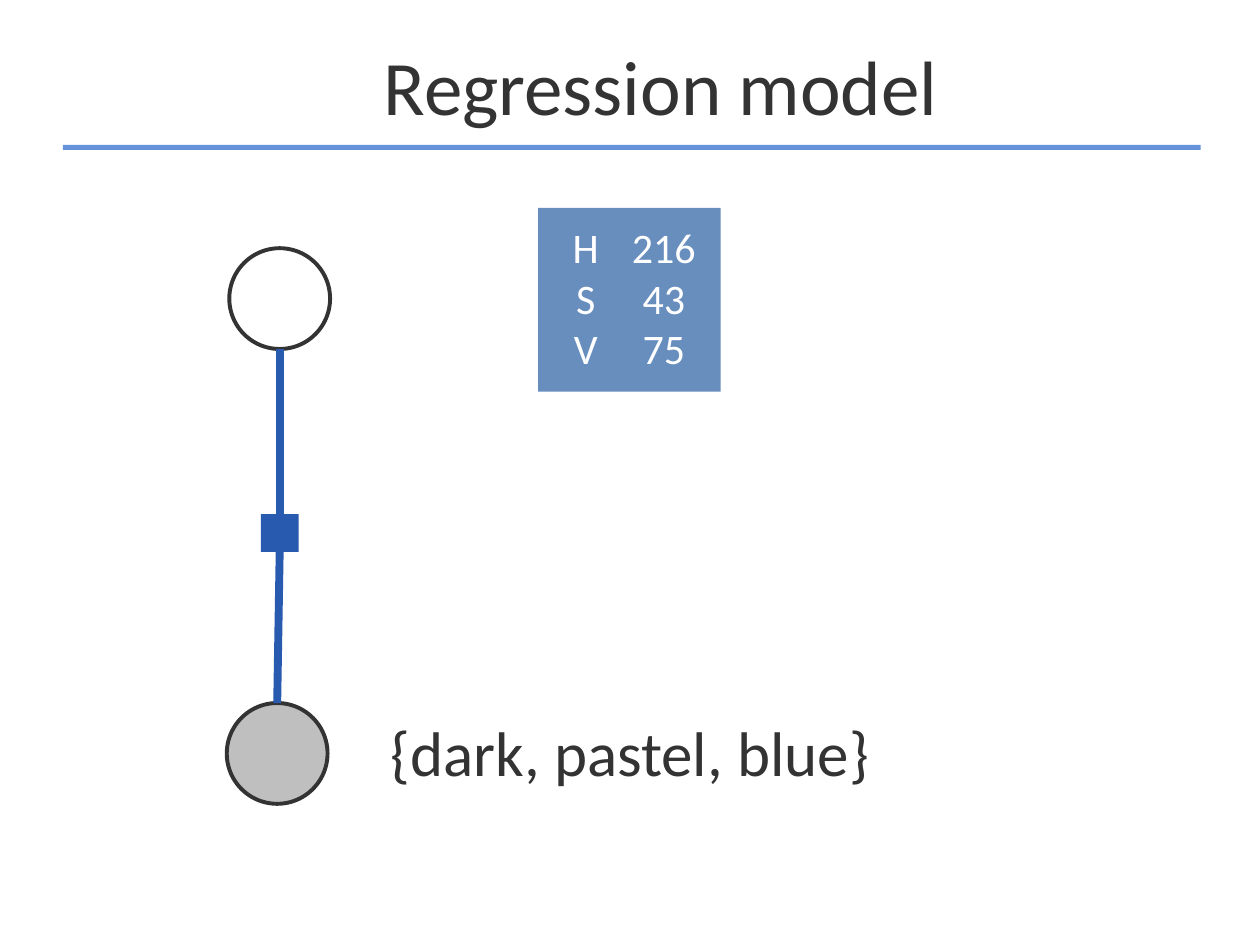
from dataclasses import dataclass

from lxml import etree
from pptx import Presentation
from pptx.dml.color import RGBColor
from pptx.enum import shapes, text
from pptx.oxml import ns
from pptx.util import Inches, Pt


@dataclass(frozen=True)
class Theme:
    font: str = "Calibri"
    ink: str = "333333"
    white: str = "FFFFFF"
    rule: str = "6692DC"
    swatch: str = "688EBE"
    observed: str = "BFBFBF"
    factor: str = "285AAF"
    title_size: int = 44
    caption_size: int = 36
    value_size: int = 24
    outline: float = 2.25
    edge: float = 4.5


THEME = Theme()


def rgb(color):
    return RGBColor.from_string(color)


def format_runs(tf, size, color, align=None):
    for p in tf.paragraphs:
        p.alignment = align
        for r in p.runs:
            r.font.name = THEME.font
            r.font.size = Pt(size)
            r.font.color.rgb = rgb(color)


def add_filled(slide, kind, box, fill, line=None):
    sp = slide.shapes.add_shape(kind, *map(Inches, box))
    sp.shadow.inherit = False
    sp.fill.solid()
    sp.fill.fore_color.rgb = rgb(fill)
    if line:
        sp.line.color.rgb = rgb(line)
        sp.line.width = Pt(THEME.outline)
    else:
        sp.line.fill.background()
    return sp


def add_edge(slide, start, end):
    line = slide.shapes.add_connector(
        shapes.MSO_CONNECTOR.STRAIGHT, *map(Inches, (*start, *end)))
    line.line.color.rgb = rgb(THEME.factor)
    line.line.width = Pt(THEME.edge)
    etree.SubElement(line._element.spPr, ns.qn("a:effectLst"))


def add_title(slide, box, rule_box):
    add_filled(slide, shapes.MSO_SHAPE.RECTANGLE, rule_box, THEME.rule)
    title = slide.shapes.title
    title.left, title.top, title.width, title.height = map(Inches, box)
    tf = title.text_frame
    tf.text = "Regression model"
    tf.vertical_anchor = text.MSO_ANCHOR.MIDDLE
    format_runs(tf, THEME.title_size, THEME.ink, text.PP_ALIGN.CENTER)


def add_caption(slide, box):
    tf = slide.shapes.add_textbox(*map(Inches, box)).text_frame
    tf.word_wrap = True
    tf.text = "{dark, pastel, blue}"
    format_runs(tf, THEME.caption_size, THEME.ink, text.PP_ALIGN.CENTER)


def add_swatch(slide, box):
    """Colour patch with its HSV values set on two centred tab stops."""
    left, top, width, height = box
    add_filled(slide, shapes.MSO_SHAPE.RECTANGLE, box, THEME.swatch)
    tf = slide.shapes.add_textbox(
        Inches(left + 0.09), Inches(top + 0.06),
        Inches(width - 0.17), Inches(height - 0.15)).text_frame
    tf.word_wrap = True
    values = {"H": 216, "S": 43, "V": 75}
    tf.text = "\n".join(f"\t{name}\t{value}" for name, value in values.items())
    for p in tf.paragraphs:
        tabs = etree.SubElement(p._p.get_or_add_pPr(), ns.qn("a:tabLst"))
        for stop in (0.19, 0.81):
            etree.SubElement(tabs, ns.qn("a:tab"), pos=str(Inches(stop)), algn="ctr")
    format_runs(tf, THEME.value_size, THEME.white)


def add_factor_graph(slide, box):
    """Hidden node on top, factor square in between, observed node below."""
    left, top, width, height = box
    node, square = 0.8, 0.3
    hidden_x = left + width - node / 2
    observed_x = left + node / 2
    observed_top = top + height - node
    square_top = top + 2.11

    # Nodes
    for x, y, fill in ((observed_x, observed_top, THEME.observed),
                       (hidden_x, top, THEME.white)):
        add_filled(slide, shapes.MSO_SHAPE.OVAL,
                   (x - node / 2, y, node, node), fill, THEME.ink)

    # Factor and its edges
    add_filled(slide, shapes.MSO_SHAPE.RECTANGLE,
               (hidden_x - square / 2, square_top, square, square), THEME.factor)
    add_edge(slide, (hidden_x, top + node), (hidden_x, square_top))
    add_edge(slide, (hidden_x, square_top + square), (observed_x, observed_top))


def main():
    prs = Presentation()
    prs.slide_width, prs.slide_height = Inches(10), Inches(7.5)
    slide = prs.slides.add_slide(prs.slide_layouts.get_by_name("Title Only"))
    add_title(slide, (1.33, 0.12, 7.83, 1.1), (0.5, 1.15, 9.03, 0.04))
    add_caption(slide, (0, 5.61, 10, 0.71))
    add_swatch(slide, (4.27, 1.65, 1.45, 1.46))
    add_factor_graph(slide, (1.8, 1.97, 0.82, 4.41))
    prs.save("out.pptx")


if __name__ == "__main__":
    main()
